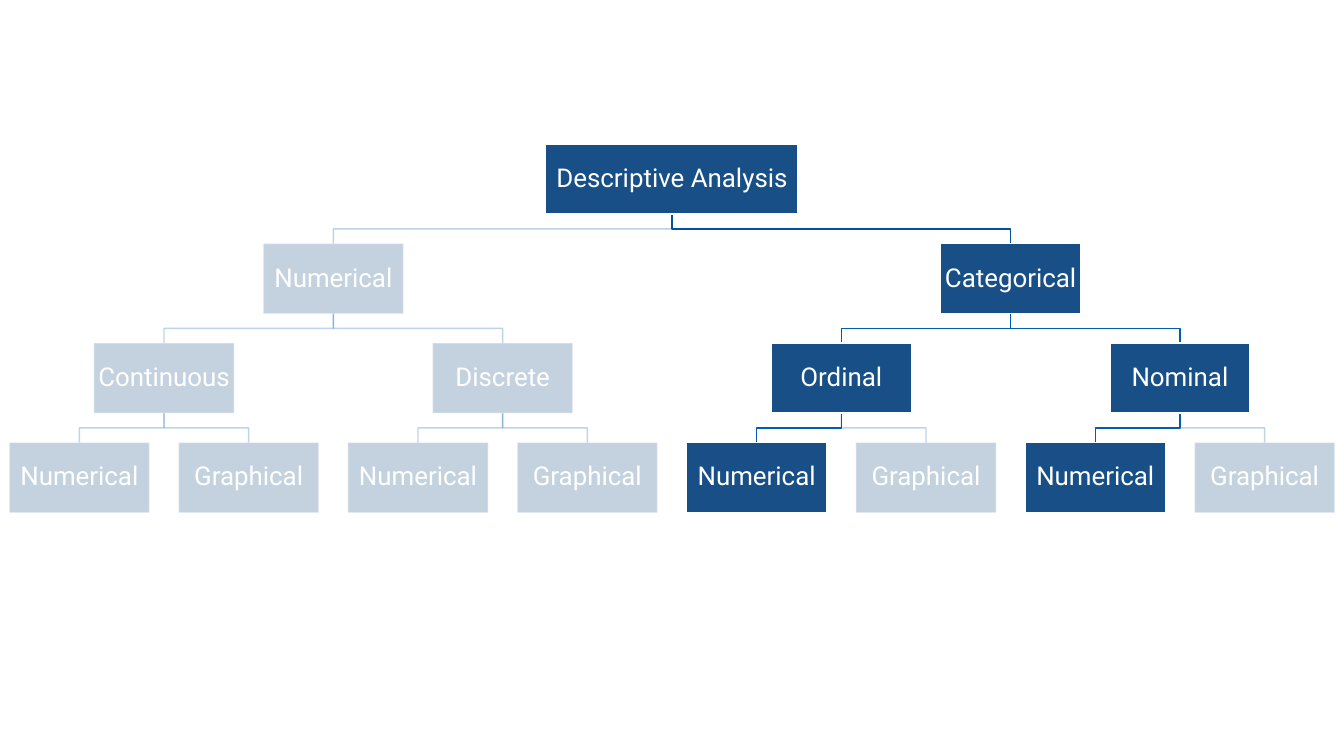
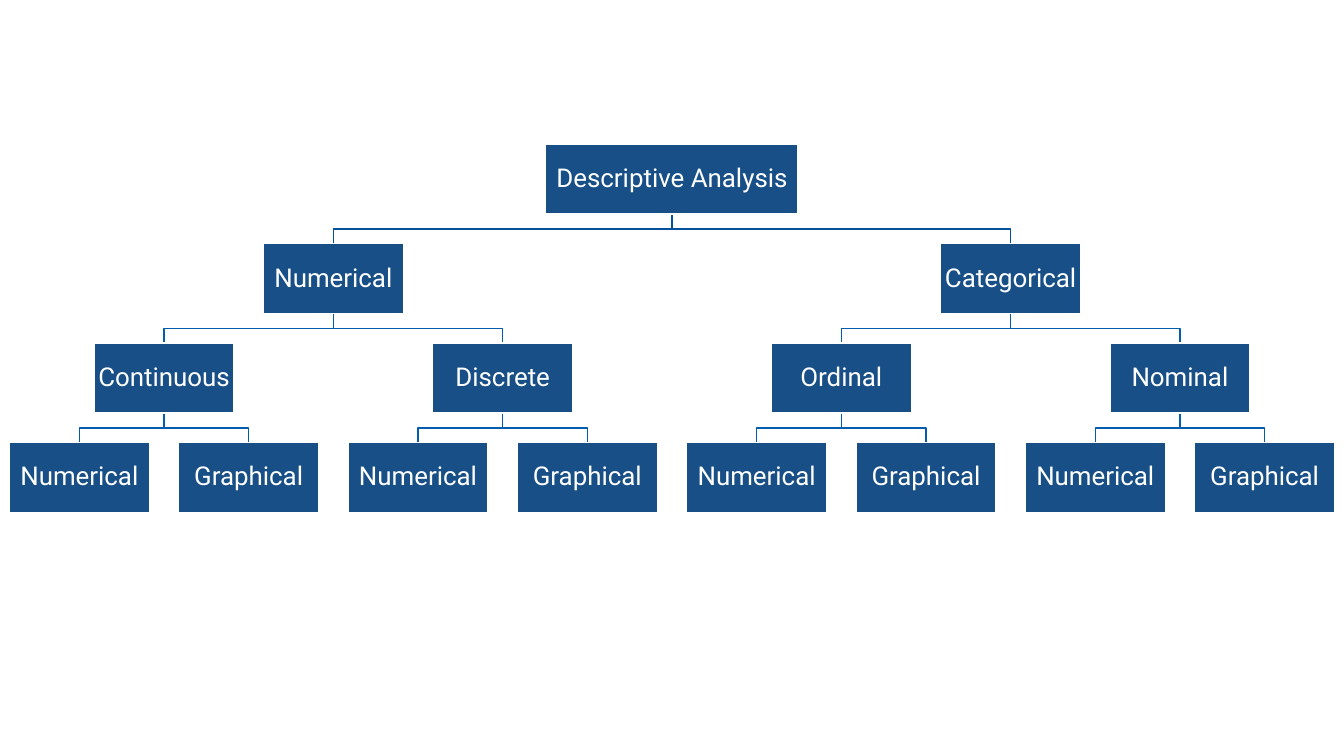
from lxml import etree
from pptx import Presentation
from pptx.dml.color import RGBColor
from pptx.enum.shapes import MSO_SHAPE as SHAPE
from pptx.enum.text import MSO_ANCHOR as ANCHOR, PP_ALIGN as ALIGN
from pptx.oxml.ns import qn
from pptx.util import Inches, Pt

COLORS = {"box": "174F86", "white": "FFFFFF", "top_link": "02519A", "link": "035CAE"}
FONT, FONT_SIZE = "Roboto", 37
LINE_WIDTH = 2
FADED = 25  # per cent opacity

SLIDE_W, SLIDE_H = 26.67, 15
BOX_W, ROOT_W, BOX_H = 2.78, 5.01, 1.39
LEAF_PITCH = 3.36
TOP, LAST_TOP = 2.86, 8.78

LEVELS = [
    ["Descriptive Analysis"],
    ["Numerical", "Categorical"],
    ["Continuous", "Discrete", "Ordinal", "Nominal"],
    ["Numerical", "Graphical"] * 4,
]
NODES = [(level, i) for level, labels in enumerate(LEVELS) for i in range(len(labels))]
CATEGORICAL_NUMERICAL = {(0, 0), (1, 1), (2, 2), (2, 3), (3, 4), (3, 6)}


def node_position(level, i):
    """Return the centre x and the top y of a node, in inches."""
    count, depth = len(LEVELS[level]), len(LEVELS) - 1
    pitch = LEAF_PITCH * len(LEVELS[-1]) / count
    x = SLIDE_W / 2 + (i - (count - 1) / 2) * pitch
    return x, TOP + level * (LAST_TOP - TOP) / depth


class TreeDeck:
    def __init__(self):
        self.prs = Presentation()
        self.prs.slide_width = Inches(SLIDE_W)
        self.prs.slide_height = Inches(SLIDE_H)
        self.s = None

    def paint(self, fmt, color, faded):
        """Give a fill a solid colour, translucent when faded."""
        fmt.solid()
        fmt.fore_color.rgb = RGBColor.from_string(COLORS[color])
        return faded

    def fade(self, sp):
        for clr in sp._element.spPr.iter(qn("a:srgbClr")):
            etree.SubElement(clr, qn("a:alpha"), val=str(FADED * 1000))

    def outline(self, sp, color):
        sp.shadow.inherit = False
        sp.line.color.rgb = RGBColor.from_string(COLORS[color])
        sp.line.width = Pt(LINE_WIDTH)

    def link(self, level, i, faded):
        """Draw the elbow line from a node's parent down to the node."""
        x, y = node_position(level, i)
        parent_x, parent_y = node_position(level - 1, i // 2)
        start_y = parent_y + BOX_H
        mid_y = (start_y + y) / 2
        builder = self.s.shapes.build_freeform(Inches(parent_x), Inches(start_y))
        corners = [(parent_x, mid_y), (x, mid_y), (x, y)]
        builder.add_line_segments([(Inches(a), Inches(b)) for a, b in corners], close=False)
        sp = builder.convert_to_shape()
        sp.fill.background()
        self.outline(sp, "top_link" if level == 1 else "link")
        if faded:
            self.fade(sp)

    def box(self, level, i, faded):
        x, y = node_position(level, i)
        width = BOX_W if level else ROOT_W
        sp = self.s.shapes.add_shape(
            SHAPE.RECTANGLE, Inches(x - width / 2), Inches(y), Inches(width), Inches(BOX_H))
        sp.fill.solid()
        sp.fill.fore_color.rgb = RGBColor.from_string(COLORS["box"])
        self.outline(sp, "white")
        if faded:
            self.fade(sp)
        tf = sp.text_frame
        tf.word_wrap = True
        tf.vertical_anchor = ANCHOR.MIDDLE
        tf.margin_left = tf.margin_right = tf.margin_top = tf.margin_bottom = Inches(0.03)
        p = tf.paragraphs[0]
        p.text = LEVELS[level][i]
        p.alignment = ALIGN.CENTER
        p.line_spacing = 0.9
        p.font.name, p.font.size = FONT, Pt(FONT_SIZE)
        p.font.color.rgb = RGBColor.from_string(COLORS["white"])

    def tree(self, highlighted):
        """Add a slide with the whole tree, fading all but the highlighted nodes."""
        self.s = self.prs.slides.add_slide(self.prs.slide_layouts[6])
        for node in reversed(NODES[1:]):
            self.link(*node, faded=node not in highlighted)
        for node in NODES:
            self.box(*node, faded=node not in highlighted)


def main():
    deck = TreeDeck()
    deck.tree(CATEGORICAL_NUMERICAL)
    deck.tree(set(NODES))
    deck.prs.save("out.pptx")


if __name__ == "__main__":
    main()
